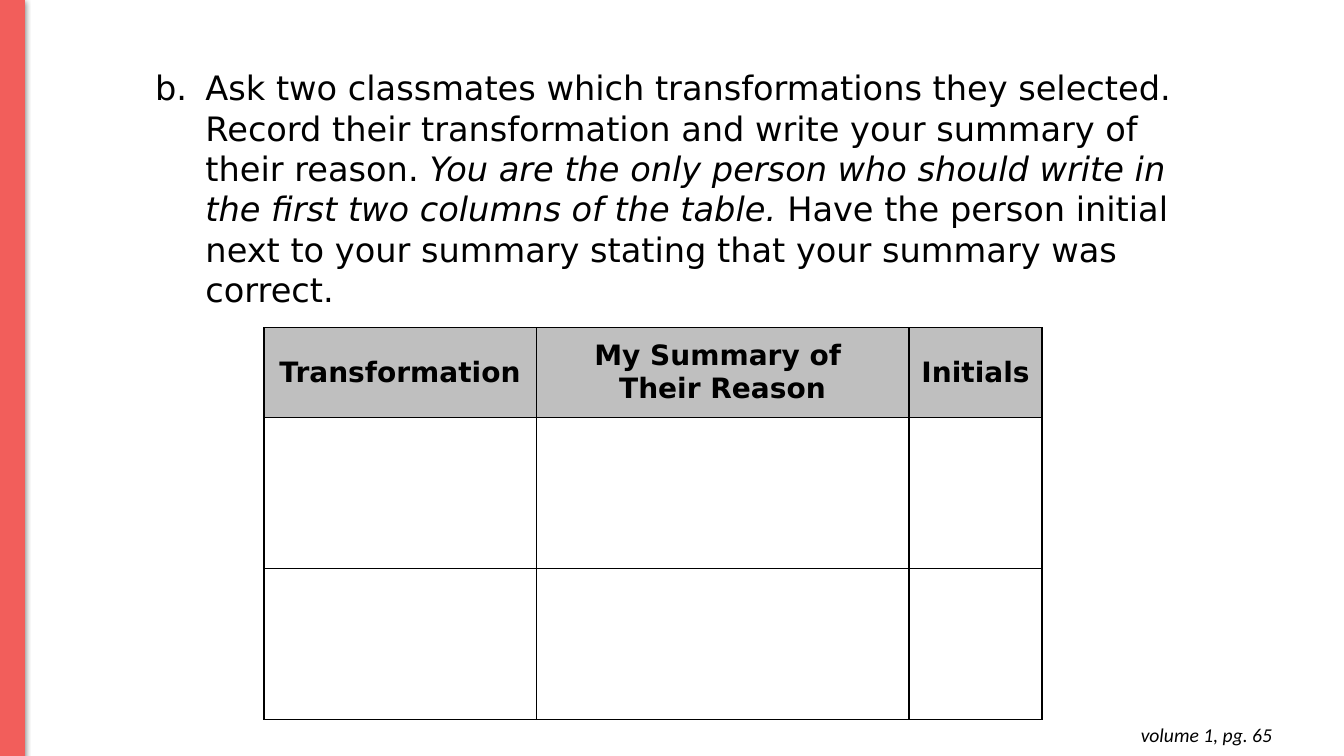
from dataclasses import dataclass
from typing import NamedTuple

from lxml.etree import SubElement
from pptx import Presentation
from pptx.dml.color import RGBColor
from pptx.enum.shapes import MSO_SHAPE
from pptx.enum.text import MSO_ANCHOR, MSO_AUTO_SIZE, PP_ALIGN
from pptx.oxml.ns import qn
from pptx.util import Pt


class Box(NamedTuple):
    """A rectangle in points."""

    left: float
    top: float
    width: float
    height: float

    def lengths(self):
        """Return the four sides as slide lengths."""
        return [Pt(value) for value in self]


@dataclass(frozen=True)
class Theme:
    """Colours, fonts and type sizes of the slide."""

    ink: str = "000000"
    accent: str = "F25E5B"
    header: str = "BFBFBF"
    body_font: str = "DejaVu Sans"
    footer_font: str = "Calibri"
    task_size: int = 24
    header_size: int = 20
    footer_size: int = 14


THEME = Theme()
TASK = [
    ("Ask two classmates which transformations they selected. Record their "
     "transformation and write your summary of their reason. ", False),
    ("You are the only person who should write in the first two columns "
     "of the table.", True),
    (" Have the person initial next to your summary stating that your "
     "summary was correct.", False),
]
HEADERS = ["Transformation", "My Summary of \nTheir Reason", "Initials"]
COLUMN_SHARES = [2.7, 3.7, 1.32]
HEADER_HEIGHT = 64
ANSWER_ROWS = 2


def add_text(paragraph, text, size, font=THEME.body_font, bold=False, italic=False):
    """Add formatted text to a paragraph, breaking lines at newlines."""
    for index, line in enumerate(text.split("\n")):
        if index:
            paragraph.add_line_break()
        run = paragraph.add_run()
        run.text = line
        run.font.name = font
        run.font.size = Pt(size)
        run.font.bold = bold
        run.font.italic = italic
        run.font.color.rgb = RGBColor.from_string(THEME.ink)


def add_color(parent, tag, color):
    """Append an element that holds one colour and return the colour."""
    return SubElement(SubElement(parent, qn(tag)), qn("a:srgbClr"), val=color)


def add_text_frame(slide, box, inset=None):
    """Add a wrapping text box and return its text frame."""
    frame = slide.shapes.add_textbox(*box.lengths()).text_frame
    frame.word_wrap = True
    frame.auto_size = MSO_AUTO_SIZE.SHAPE_TO_FIT_TEXT
    if inset is not None:
        frame.margin_left = frame.margin_right = Pt(inset)
        frame.margin_top = frame.margin_bottom = Pt(inset)
    return frame


def add_footer(slide, box):
    """Place the page reference at the right of its box."""
    paragraph = add_text_frame(slide, box, inset=7.2).paragraphs[0]
    paragraph.alignment = PP_ALIGN.RIGHT
    add_text(paragraph, "volume 1, pg. 65", THEME.footer_size,
             font=THEME.footer_font, italic=True)


def add_task(slide, box):
    """Place the lettered task with a hanging indent."""
    paragraph = add_text_frame(slide, box).paragraphs[0]
    properties = paragraph._p.get_or_add_pPr()
    properties.set("marL", str(Pt(72)))
    properties.set("indent", str(Pt(-36)))
    add_color(properties, "a:buClr", THEME.ink)
    SubElement(properties, qn("a:buFont"), typeface=THEME.body_font)
    SubElement(properties, qn("a:buAutoNum"), type="alphaLcPeriod", startAt="2")
    for text, italic in TASK:
        add_text(paragraph, text, THEME.task_size, italic=italic)


def add_side_bar(slide, box):
    """Place the coloured bar with its soft shadow."""
    bar = slide.shapes.add_shape(MSO_SHAPE.RECTANGLE, *box.lengths())
    bar.fill.solid()
    bar.fill.fore_color.rgb = RGBColor.from_string(THEME.accent)
    bar.line.color.rgb = RGBColor.from_string(THEME.accent)
    bar.line.width = Pt(0.75)
    bar.shadow.inherit = False
    effects = bar._element.spPr.find(qn("a:effectLst"))
    color = add_color(effects, "a:outerShdw", THEME.ink)
    SubElement(color, qn("a:alpha"), val="50000")
    shadow = color.getparent()
    shadow.set("blurRad", str(Pt(4.5)))
    shadow.set("dist", str(Pt(1.5)))
    shadow.set("dir", "5400000")
    shadow.set("rotWithShape", "0")


def format_cell(cell, is_header):
    """Give a cell its borders, fill and margins."""
    properties = cell._tc.get_or_add_tcPr()
    for side in "LRTB":
        border = SubElement(properties, qn(f"a:ln{side}"), w=str(Pt(1)))
        add_color(border, "a:solidFill", THEME.ink)
    if is_header:
        cell.fill.solid()
        cell.fill.fore_color.rgb = RGBColor.from_string(THEME.header)
    else:
        cell.fill.background()
    cell.margin_left = cell.margin_right = Pt(5)
    cell.margin_top = cell.margin_bottom = 0
    cell.vertical_anchor = MSO_ANCHOR.MIDDLE


def add_answer_table(slide, box):
    """Place the table with a header and empty answer rows."""
    table = slide.shapes.add_table(
        ANSWER_ROWS + 1, len(HEADERS), *box.lengths()).table
    table.first_row = table.horz_banding = False
    for column, share in zip(table.columns, COLUMN_SHARES):
        column.width = Pt(box.width * share / sum(COLUMN_SHARES))
    for index, row in enumerate(table.rows):
        is_header = index == 0
        answer_height = (box.height - HEADER_HEIGHT) / ANSWER_ROWS
        row.height = Pt(HEADER_HEIGHT if is_header else answer_height)
        for cell in row.cells:
            format_cell(cell, is_header)
    for cell, header in zip(table.rows[0].cells, HEADERS):
        paragraph = cell.text_frame.paragraphs[0]
        paragraph.alignment = PP_ALIGN.CENTER
        paragraph.space_after = Pt(10)
        add_text(paragraph, header, THEME.header_size, bold=True)


def main():
    """Build the slide and save it."""
    presentation = Presentation()
    presentation.slide_width = Pt(960)
    presentation.slide_height = Pt(540)
    slide = presentation.slides.add_slide(presentation.slide_layouts[6])
    add_footer(slide, Box(708.5, 509, 207.4, 31.7))
    add_task(slide, Box(67.7, 44.6, 810, 181.4))
    add_side_bar(slide, Box(0, 0, 17.3, 540.7))
    add_answer_table(slide, Box(188.6, 234, 555.8, 280))
    presentation.save("out.pptx")


if __name__ == "__main__":
    main()
